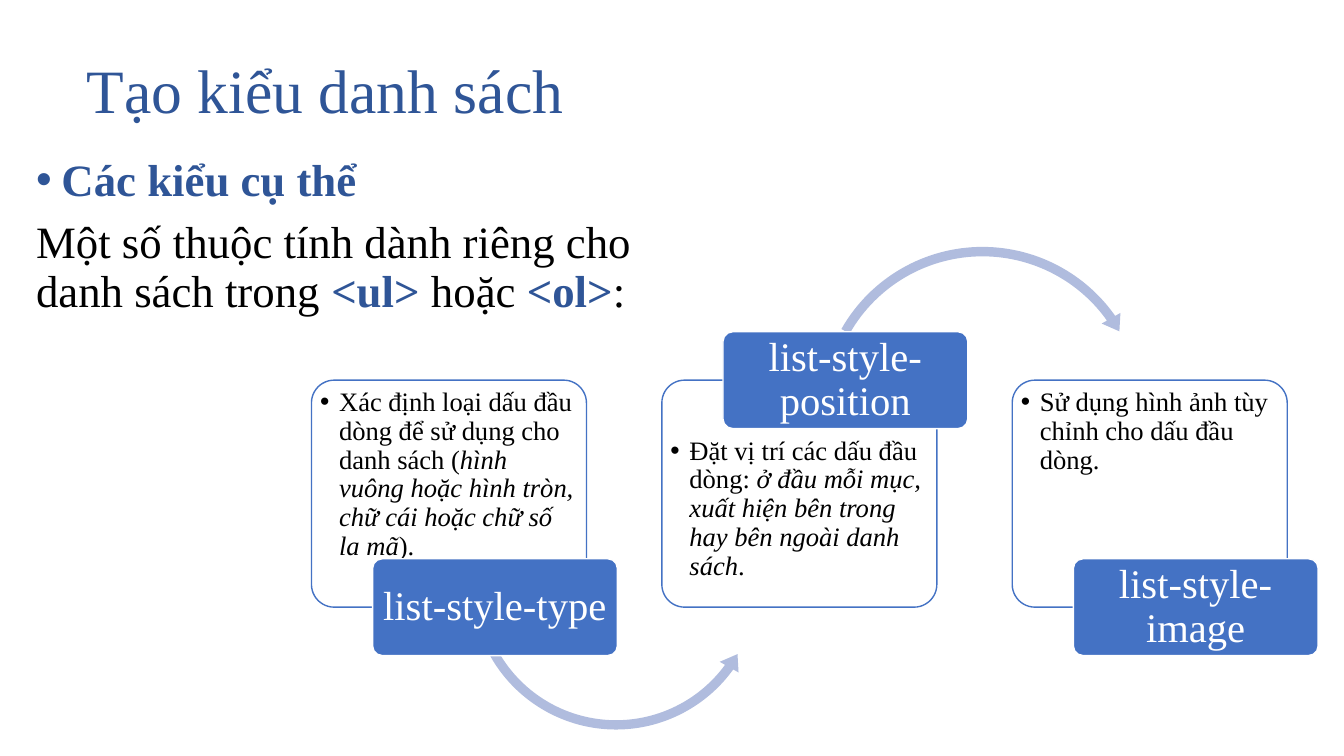
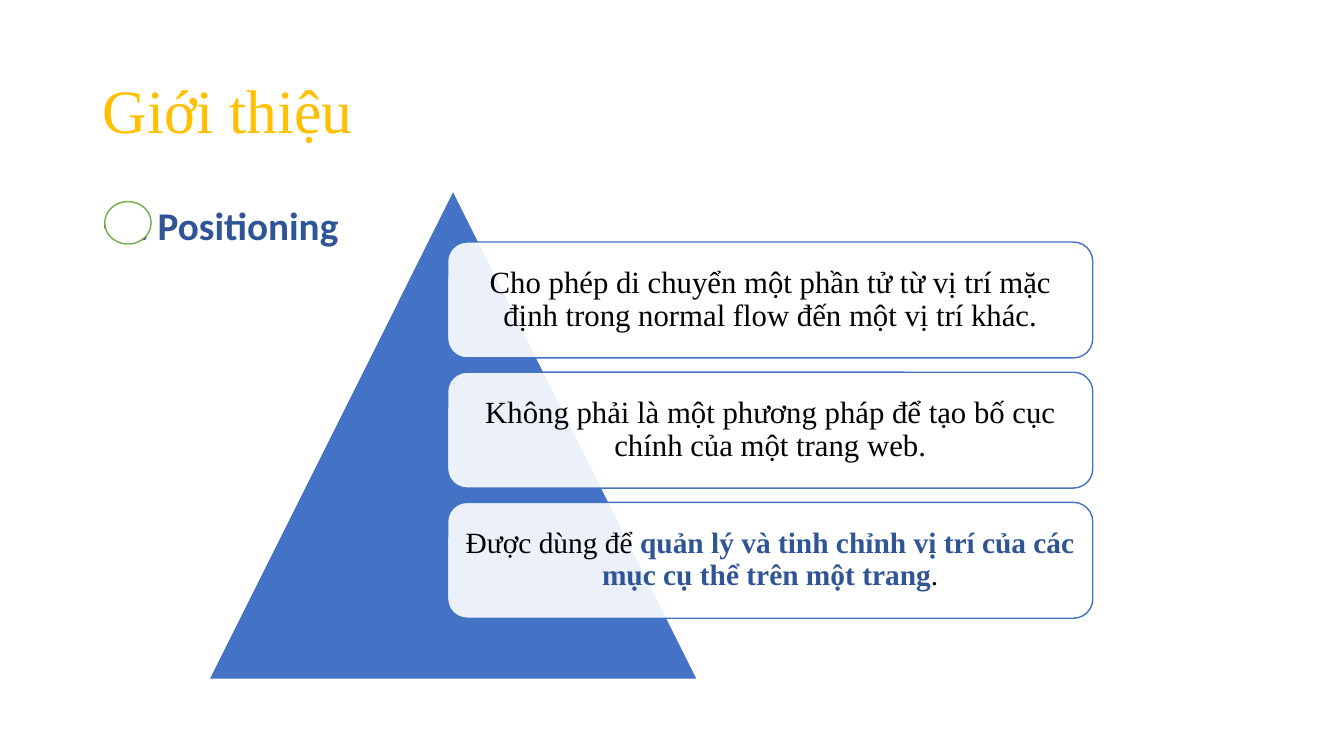
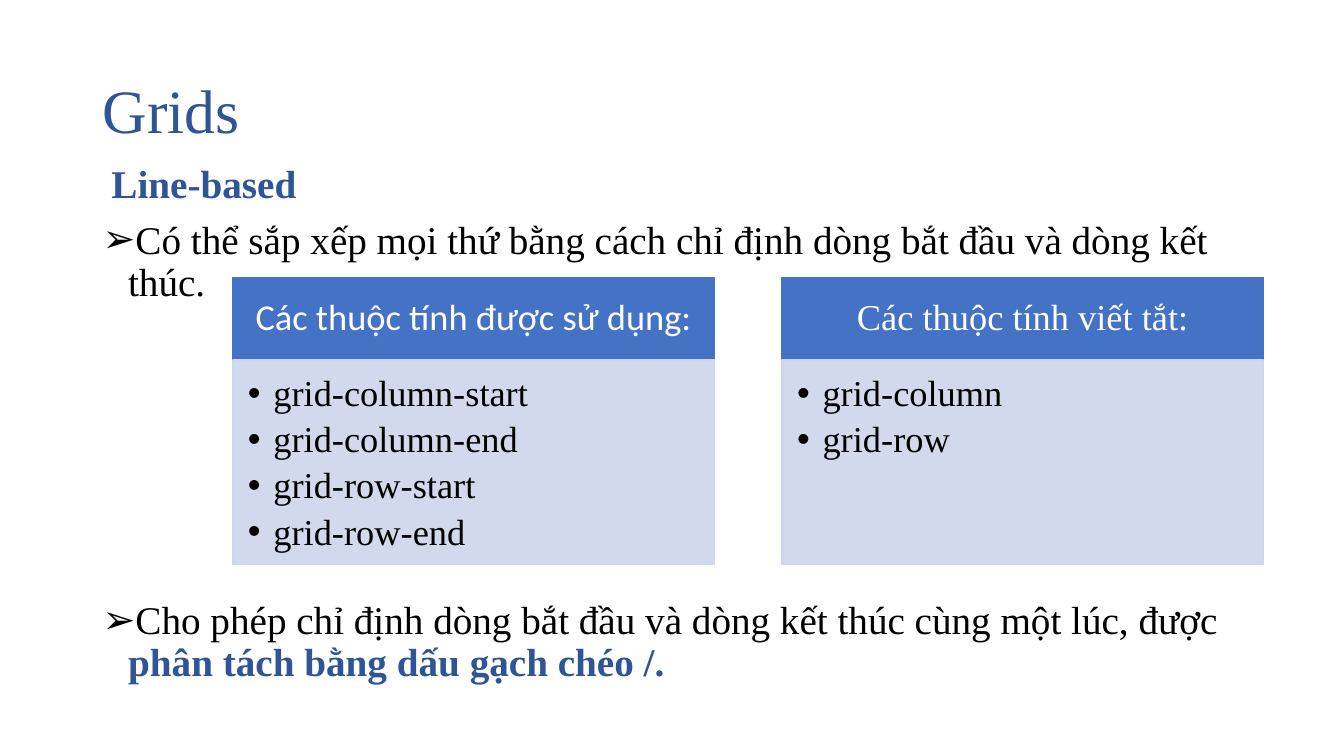
from lxml import etree
from pptx import Presentation
from pptx.dml.color import RGBColor
from pptx.enum.shapes import MSO_SHAPE
from pptx.enum.text import MSO_ANCHOR, PP_ALIGN
from pptx.oxml.ns import qn
from pptx.util import Cm, Pt

# Shared look
NAVY, BLUE, GOLD, GREEN = "2F5597", "4472C4", "FFC000", "70AD47"
BLACK, WHITE, ARROW, PANEL = "000000", "FFFFFF", "B0BCDE", "CFD5EA"
SERIF, SANS = "Times New Roman", "Calibri"
TOP, MIDDLE = MSO_ANCHOR.TOP, MSO_ANCHOR.MIDDLE
LEFT, CENTER = PP_ALIGN.LEFT, PP_ALIGN.CENTER
RECT, ROUNDED = MSO_SHAPE.RECTANGLE, MSO_SHAPE.ROUNDED_RECTANGLE
TRIANGLE, OVAL = MSO_SHAPE.ISOSCELES_TRIANGLE, MSO_SHAPE.OVAL
ARC_OVER, ARC_UNDER = MSO_SHAPE.CIRCULAR_ARROW, MSO_SHAPE.LEFT_CIRCULAR_ARROW
BODY_INSETS = (0.25, 0.13, 0.25, 0.13)


def color(hex_code):
    return RGBColor.from_string(hex_code)


def add_paragraph(frame, runs, size, font=SERIF, ink=BLACK, align=LEFT,
                  bullet=None, indent=0.0, hang=0.0, before=0, after=0):
    """Runs are (text, style) pairs; style b is bold navy, i is italic."""
    first = not frame.paragraphs[0].runs
    paragraph = frame.paragraphs[0] if first else frame.add_paragraph()
    props = paragraph._p.get_or_add_pPr()
    props.set("marL", str(Cm(indent)))
    props.set("indent", str(-Cm(hang)))
    if bullet:
        etree.SubElement(props, qn("a:buFont")).set("typeface", "Arial")
        etree.SubElement(props, qn("a:buChar")).set("char", bullet)
    paragraph.alignment = align
    paragraph.line_spacing = 0.9
    paragraph.space_before = Pt(0 if first else before)
    paragraph.space_after = Pt(after)
    for text, style in runs:
        run = paragraph.add_run()
        run.text = text
        run.font.name, run.font.size = font, Pt(size)
        run.font.bold, run.font.italic = style == "b", style == "i"
        run.font.color.rgb = color(NAVY if style == "b" else ink)


def prepare_frame(shape, insets=BODY_INSETS, anchor=TOP):
    frame = shape.text_frame
    frame.word_wrap = True
    frame.vertical_anchor = anchor
    (frame.margin_left, frame.margin_top,
     frame.margin_right, frame.margin_bottom) = map(Cm, insets)
    return frame


def add_text(slide, box, anchor=TOP):
    return prepare_frame(slide.shapes.add_textbox(*map(Cm, box)), anchor=anchor)


def add_block(slide, kind, box, fill, line=None, adjust=(), opacity=100):
    block = slide.shapes.add_shape(kind, *map(Cm, box))
    block.shadow.inherit = False
    for index, value in enumerate(adjust):
        block.adjustments[index] = value
    block.fill.solid()
    block.fill.fore_color.rgb = color(fill)
    if opacity < 100:
        tint = block._element.spPr.find(".//" + qn("a:srgbClr"))
        etree.SubElement(tint, qn("a:alpha")).set("val", str(opacity * 1000))
    if line:
        block.line.color.rgb = color(line)
        block.line.width = Pt(1)
    else:
        block.line.fill.background()
    return block


def start_slide(deck, title, left=2.34, top=1.02, ink=NAVY):
    slide = deck.slides.add_slide(deck.slide_layouts[6])
    frame = add_text(slide, (left, top, 29.21, 3.68), MIDDLE)
    add_paragraph(frame, [(title, "")], 44, ink=ink)
    return slide


# Alternating cards joined by curved arrows
def add_card_flow(slide, left, top):
    card_w, card_h, pitch = 6.93, 5.72, 8.83
    label_w, label_h, label_shift = 6.17, 2.44, 1.54
    under = (ARC_UNDER, 3.88, 1.37, 7.59, (0.031, 3.809, 21.564, 90.245, 0.036))
    over = (ARC_OVER, 12.67, -3.51, 8.48, (0.028, 3.385, 194.859, 125.755, 0.032))
    cards = [
        ("list-style-type", False, under,
         [("Xác định loại dấu đầu dòng để sử dụng cho danh sách (", ""),
          ("hình vuông hoặc hình tròn, chữ cái hoặc chữ số la mã", "i"),
          (").", "")]),
        ("list-style-position", True, over,
         [("Đặt vị trí các dấu đầu dòng: ", ""),
          ("ở đầu mỗi mục, xuất hiện bên trong hay bên ngoài danh sách", "i"),
          (".", "")]),
        ("list-style-image", False, None,
         [("Sử dụng hình ảnh tùy chỉnh cho dấu đầu dòng.", "")]),
    ]
    for index, (name, label_on_top, arrow, details) in enumerate(cards):
        x = left + index * pitch
        card = add_block(slide, ROUNDED, (x, top, card_w, card_h), WHITE, BLUE, [0.1], 90)
        text_top = label_h / 2 + 0.05 if label_on_top else 0.05
        frame = prepare_frame(card, (0.05, text_top, 0.05, 0.05))
        add_paragraph(frame, details, 19, bullet="•", indent=0.48, hang=0.48)
        if arrow:
            kind, dx, dy, size, bend = arrow
            add_block(slide, kind, (left + dx, top + dy, size, size), ARROW, adjust=bend)
        edge = top if label_on_top else top + card_h
        label = add_block(slide, ROUNDED,
                          (x + label_shift, edge - label_h / 2, label_w, label_h),
                          BLUE, WHITE, [0.1])
        frame = prepare_frame(label, (0.15, 0.1, 0.15, 0.1), MIDDLE)
        add_paragraph(frame, [(name, "")], 29, ink=WHITE, align=CENTER)


# Triangle with statements stacked over its right half
def add_pyramid(slide, left, top, size):
    add_block(slide, TRIANGLE, (left, top, size, size), BLUE, WHITE)
    statements = [
        (22, [("Cho phép di chuyển một phần tử từ vị trí mặc định trong "
               "normal flow đến một vị trí khác.", "")]),
        (22, [("Không phải là một phương pháp để tạo bố cục chính của "
               "một trang web.", "")]),
        (21, [("Được dùng để ", ""),
              ("quản lý và tinh chỉnh vị trí của các mục cụ thể trên một trang", "b"),
              (".", "")]),
    ]
    for index, (points, runs) in enumerate(statements):
        box = (left + 6.02, top + 1.3 + index * 3.28, 16.26, 2.92)
        statement = add_block(slide, ROUNDED, box, WHITE, BLUE, opacity=90)
        frame = prepare_frame(statement, (0.22,) * 4, MIDDLE)
        add_paragraph(frame, runs, points, align=CENTER)


# Heading band over a list of properties
def add_property_panel(slide, left, top, heading, font, properties):
    width, head_h, list_h = 12.14, 2.08, 5.16
    head = add_block(slide, RECT, (left, top, width, head_h), BLUE, BLUE)
    frame = prepare_frame(head, (0.5, 0.3, 0.5, 0.3), MIDDLE)
    add_paragraph(frame, [(heading, "")], 26, font, WHITE, CENTER)
    panel = add_block(slide, RECT, (left, top + head_h, width, list_h),
                      PANEL, PANEL, opacity=90)
    frame = prepare_frame(panel, (0.38, 0.38, 0.51, 0.58))
    for name in properties:
        add_paragraph(frame, [(name, "")], 26, bullet="•",
                      indent=0.64, hang=0.64, after=5)


def build_list_styles(deck):
    slide = start_slide(deck, "Tạo kiểu danh sách", 1.93, 0.53)
    intro = add_text(slide, (0.66, 3.84, 16.87, 12.65))
    add_paragraph(intro, [("Các kiểu cụ thể", "b")], 32,
                  bullet="•", indent=0.64, hang=0.64)
    add_paragraph(intro, [("Một số thuộc tính dành riêng cho danh sách trong ", ""),
                          ("<ul> ", "b"), ("hoặc ", ""), ("<ol>", "b"), (":", "")],
                  32, before=10)
    add_card_flow(slide, 7.85, 9.58)


def build_positioning(deck):
    slide = start_slide(deck, "Giới thiệu", ink=GOLD)
    topic = add_text(slide, (2.34, 5.08, 29.21, 12.09))
    add_paragraph(topic, [("f. Positioning", "b")], 28, SANS,
                  bullet="•", indent=0.64, hang=0.64)
    add_pyramid(slide, 5.26, 4.8, 12.32)
    add_block(slide, OVAL, (2.64, 5.08, 1.17, 1.07), WHITE, GREEN)


def build_grids(deck):
    slide = start_slide(deck, "Grids")
    points = add_text(slide, (2.34, 4.01, 29.49, 14.02))
    add_paragraph(points, [("Line-based", "b")], 28, indent=0.22)
    add_paragraph(points, [("Có thể sắp xếp mọi thứ bằng cách chỉ định dòng bắt đầu "
                            "và dòng kết thúc.", "")],
                  28, bullet="➢", indent=0.64, hang=0.64, before=10)
    # The wide gap leaves room for the two panels
    add_paragraph(points, [("Cho phép chỉ định dòng bắt đầu và dòng kết thúc "
                            "cùng một lúc, được ", ""),
                           ("phân tách bằng dấu gạch chéo /.", "b")],
                  28, bullet="➢", indent=0.64, hang=0.64, before=211)
    panels = [
        ("Các thuộc tính được sử dụng:", SANS,
         ["grid-column-start", "grid-column-end", "grid-row-start", "grid-row-end"]),
        ("Các thuộc tính viết tắt:", SERIF, ["grid-column", "grid-row"]),
    ]
    for index, panel in enumerate(panels):
        add_property_panel(slide, 5.87 + index * 13.84, 6.99, *panel)


def main():
    deck = Presentation()
    deck.slide_width, deck.slide_height = Cm(33.87), Cm(19.05)
    build_list_styles(deck)
    build_positioning(deck)
    build_grids(deck)
    deck.save("out.pptx")


if __name__ == "__main__":
    main()
